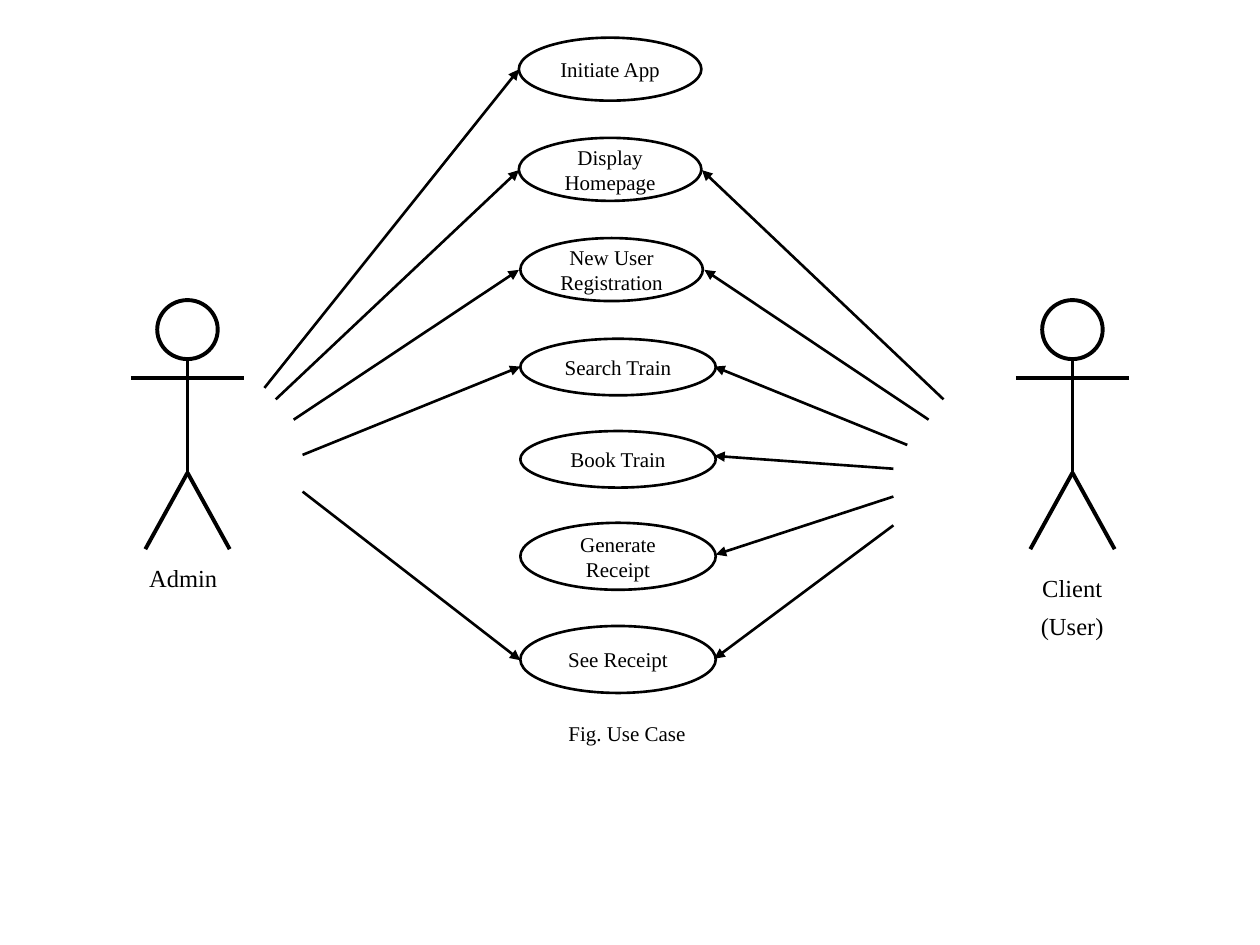
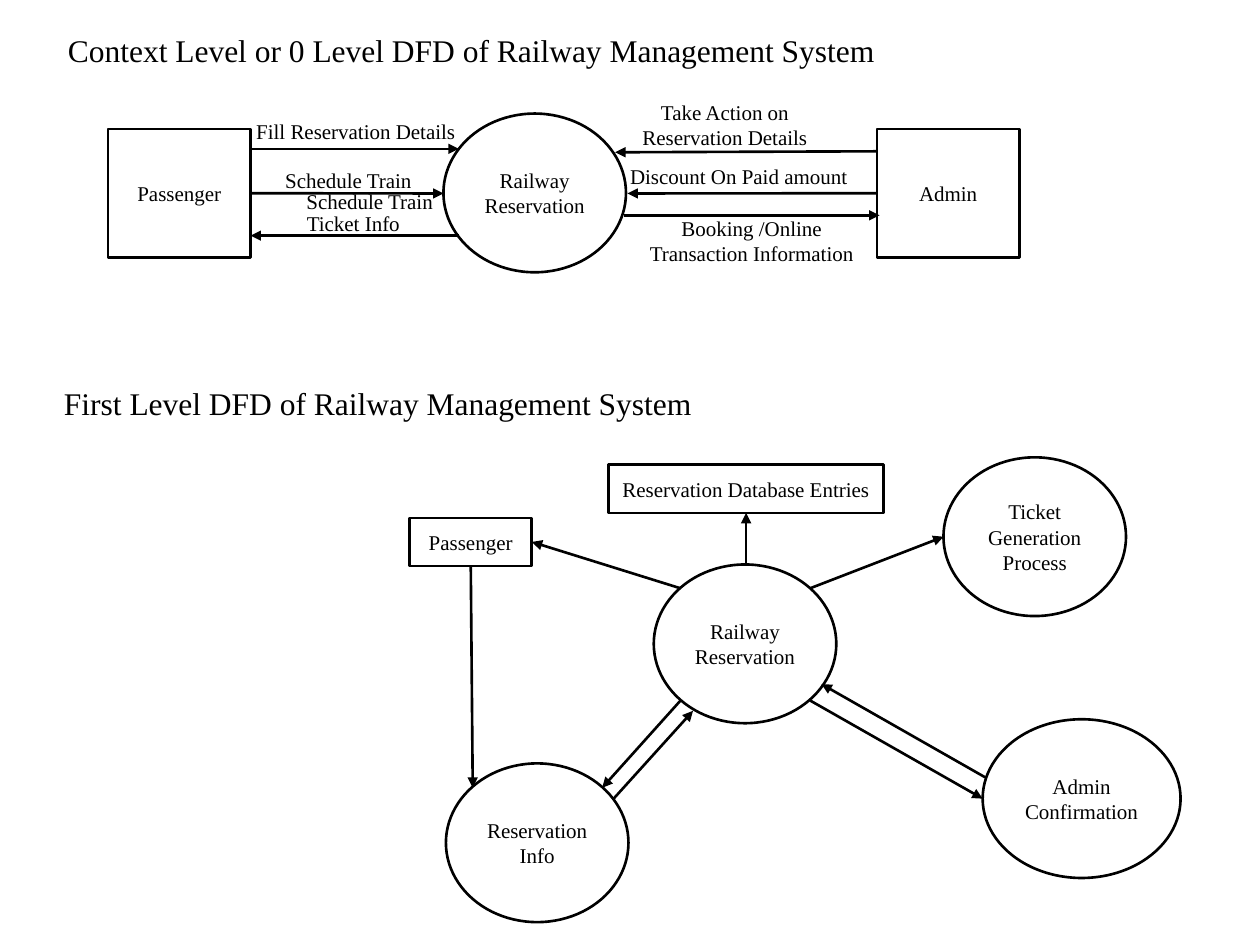
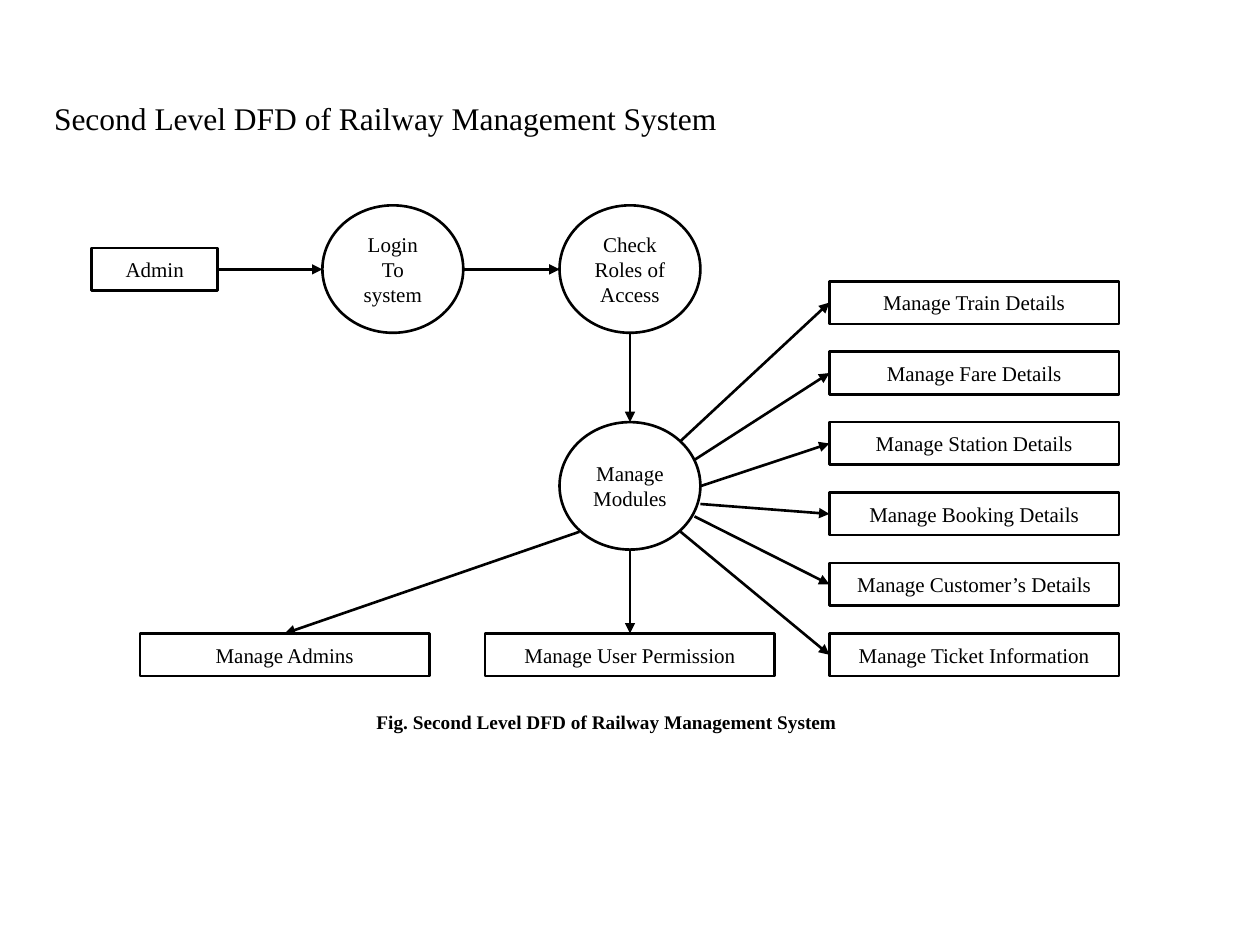
from lxml import etree
from pptx import Presentation
from pptx.dml.color import RGBColor
from pptx.enum.shapes import MSO_CONNECTOR, MSO_SHAPE
from pptx.enum.text import MSO_ANCHOR as ANCHOR, PP_ALIGN as ALIGN
from pptx.oxml.ns import qn
from pptx.util import Cm, Pt

COLORS = {"ink": "000000", "paper": "FFFFFF"}
INK = RGBColor.from_string(COLORS["ink"])
PAPER = RGBColor.from_string(COLORS["paper"])
OVAL, RECT = MSO_SHAPE.OVAL, MSO_SHAPE.RECTANGLE
TOP, LEFT, BOTTOM, RIGHT = range(4)
BODY = {"name": "Times New Roman", "size": Pt(12)}
TITLE = BODY | {"size": Pt(18)}
ACTOR = BODY | {"size": Pt(14)}
CAPTION = BODY | {"size": Pt(11), "bold": True}


def add_box(page, kind, text, place, style=BODY, align=ALIGN.CENTER, weight=1.5):
    place = [Cm(value) for value in place]
    if kind is None:
        box = page.shapes.add_textbox(*place)
    else:
        box = page.shapes.add_shape(kind, *place)
        box.shadow.inherit = False
        box.fill.solid()
        box.fill.fore_color.rgb = PAPER
        box.line.color.rgb = INK
        box.line.width = Pt(weight)
    frame = box.text_frame
    frame.word_wrap = True
    frame.vertical_anchor = ANCHOR.TOP if kind is None else ANCHOR.MIDDLE
    frame.text = text
    for para in frame.paragraphs:
        para.alignment = align
        for span in para.runs:
            span.font.color.rgb = INK
            for name, value in style.items():
                setattr(span.font, name, value)
    return box


def add_line(page, ends, begin=None, end=None, weight=1.5, arrow=True):
    line = page.shapes.add_connector(MSO_CONNECTOR.STRAIGHT, *[Cm(value) for value in ends])
    if begin:
        line.begin_connect(*begin)
    if end:
        line.end_connect(*end)
    line.line.color.rgb = INK
    line.line.width = Pt(weight)
    properties = line.element.spPr
    if arrow:
        etree.SubElement(properties.find(qn("a:ln")), qn("a:tailEnd"), type="triangle")
    etree.SubElement(properties, qn("a:effectLst"))


deck = Presentation()
deck.slide_width, deck.slide_height = Cm(25.4), Cm(19.05)
use_case, dfd, second_level = [deck.slides.add_slide(deck.slide_layouts[6]) for _ in range(3)]

for center in (3.78, 21.62):
    add_box(use_case, OVAL, "", (center - 0.61, 6.05, 1.22, 1.19), weight=2.25)
    for x1, y1, x2, y2 in (
        (0, 7.24, 0, 9.53),
        (-1.14, 7.62, 1.14, 7.62),
        (0, 9.53, 0.85, 11.07),
        (0, 9.53, -0.85, 11.07),
    ):
        add_line(use_case, (center + x1, y1, center + x2, y2), weight=2.25, arrow=False)

for text, left, top, width, height in (
    ("Initiate App", 10.46, 0.76, 3.68, 1.27),
    ("Display Homepage", 10.46, 2.78, 3.68, 1.27),
    ("New User Registration", 10.49, 4.8, 3.68, 1.27),
    ("Search Train", 10.49, 6.83, 3.94, 1.14),
    ("Book Train", 10.49, 8.69, 3.94, 1.14),
    ("Generate Receipt", 10.49, 10.54, 3.94, 1.35),
    ("See Receipt", 10.49, 12.62, 3.94, 1.35),
):
    add_box(use_case, OVAL, text, (left, top, width, height))

for ends in (
    (5.33, 7.82, 10.46, 1.4),
    (5.56, 8.05, 10.46, 3.43),
    (5.92, 8.46, 10.46, 5.44),
    (6.1, 9.17, 10.49, 7.39),
    (6.1, 9.91, 10.49, 13.31),
    (19.02, 8.05, 14.15, 3.43),
    (18.72, 8.46, 14.2, 5.44),
    (18.29, 8.97, 14.4, 7.39),
    (18.01, 9.45, 14.4, 9.19),
    (18.01, 10.01, 14.43, 11.18),
    (18.01, 10.59, 14.4, 13.28),
):
    add_line(use_case, ends)

add_box(use_case, None, "Admin", (2.55, 11.23, 2.29, 1.02), ACTOR)
client = add_box(use_case, None, "Client\n(User)", (20.47, 11.43, 2.29, 1.63), ACTOR)
client.text_frame.paragraphs[1].space_before = Pt(5)
add_box(use_case, None, "Fig. Use Case", (6.29, 14.4, 12.7, 0.76))

add_box(dfd, None, "Context Level or 0 Level DFD of Railway Management System",
        (1.12, 0.51, 21.97, 1.02), TITLE, ALIGN.LEFT)
passenger = add_box(dfd, RECT, "Passenger", (2.18, 2.6, 2.87, 2.59))
add_box(dfd, OVAL, "Railway Reservation", (8.94, 2.29, 3.68, 3.2))
admin = add_box(dfd, RECT, "Admin", (17.68, 2.6, 2.87, 2.59))
for ends, begin in (
    ((5.05, 3, 9.25, 3), None),
    ((5.05, 3.9, 8.94, 3.9), (passenger, RIGHT)),
    ((9.25, 4.75, 5.05, 4.75), None),
    ((17.68, 3.05, 12.4, 3.07), None),
    ((17.68, 3.9, 12.65, 3.9), (admin, LEFT)),
    ((12.57, 4.34, 17.73, 4.34), None),
):
    add_line(dfd, ends, begin)
for text, left, top, width, height in (
    ("Fill Reservation Details", 4.85, 2.26, 4.65, 0.76),
    ("Schedule Train", 4.7, 3.25, 4.65, 0.76),
    ("Ticket Info", 4.8, 4.11, 4.65, 0.76),
    ("Schedule Train", 5.13, 3.68, 4.65, 0.76),
    ("Take Action on Reservation Details", 12.29, 1.88, 4.65, 1.27),
    ("Discount On Paid amount", 12.29, 3.18, 5.21, 0.76),
    ("Booking /Online Transaction Information", 12.55, 4.22, 5.21, 1.27),
):
    add_box(dfd, None, text, (left, top, width, height))

add_box(dfd, None, "First Level DFD of Railway Management System",
        (1.04, 7.62, 17.4, 1.02), TITLE, ALIGN.LEFT)
for text, left, top, width in (
    ("Railway Reservation", 13.18, 11.38, 3.68),
    ("Ticket Generation Process", 19.02, 9.22, 3.68),
    ("Admin Confirmation", 19.81, 14.5, 3.99),
    ("Reservation Info", 8.99, 15.39, 3.68),
):
    add_box(dfd, OVAL, text, (left, top, width, 3.2))
database = add_box(dfd, RECT, "Reservation Database Entries", (12.27, 9.37, 5.54, 0.97))
rider = add_box(dfd, RECT, "Passenger", (8.26, 10.44, 2.46, 0.97))
for ends, begin, end in (
    ((16.33, 11.86, 19.02, 10.82), None, None),
    ((13.72, 11.86, 10.72, 10.92), None, (rider, RIGHT)),
    ((15.04, 11.38, 15.04, 10.34), None, (database, BOTTOM)),
    ((16.33, 14.12, 19.81, 16.1), None, None),
    ((13.72, 14.12, 12.14, 15.88), None, None),
    ((19.86, 15.67, 16.56, 13.79), None, None),
    ((12.37, 16.1, 13.97, 14.33), None, None),
    ((9.49, 11.41, 9.53, 15.88), (rider, BOTTOM), None),
):
    add_line(dfd, ends, begin, end)

add_box(second_level, None, "Second Level DFD of Railway Management System",
        (0.84, 1.88, 14.15, 1.02), TITLE, ALIGN.LEFT)
for text, left, top in (
    ("Login To system", 6.5, 4.14),
    ("Check Roles of Access", 11.28, 4.14),
    ("Manage Modules", 11.28, 8.51),
):
    add_box(second_level, OVAL, text, (left, top, 2.84, 2.57))
login_admin = add_box(second_level, RECT, "Admin", (1.85, 5, 2.54, 0.86))
add_line(second_level, (4.39, 5.43, 6.5, 5.43), (login_admin, RIGHT))
add_line(second_level, (9.34, 5.43, 11.28, 5.43))
add_line(second_level, (12.7, 6.71, 12.7, 8.51))

for row, (text, x, y) in enumerate((
    ("Manage Train Details", 13.72, 8.89),
    ("Manage Fare Details", 14, 9.27),
    ("Manage Station Details", 14.12, 9.8),
    ("Manage Booking Details", 14.12, 10.16),
    ("Manage Customer’s Details", 14, 10.41),
    ("Manage Ticket Information", 13.72, 10.72),
)):
    top = 5.67 + 1.42 * row
    module = add_box(second_level, RECT, text, (16.72, top, 5.84, 0.86))
    add_line(second_level, (x, y, 16.72, top + 0.43), end=(module, LEFT))
for text, left, x, y in (
    ("Manage User Permission", 9.78, 12.7, 11.08),
    ("Manage Admins", 2.82, 11.68, 10.72),
):
    module = add_box(second_level, RECT, text, (left, 12.77, 5.84, 0.86))
    add_line(second_level, (x, y, left + 2.92, 12.77), end=(module, TOP))
add_box(second_level, None, "Fig. Second Level DFD of Railway Management System",
        (7.29, 14.2, 9.88, 0.74), CAPTION)

deck.save("out.pptx")
